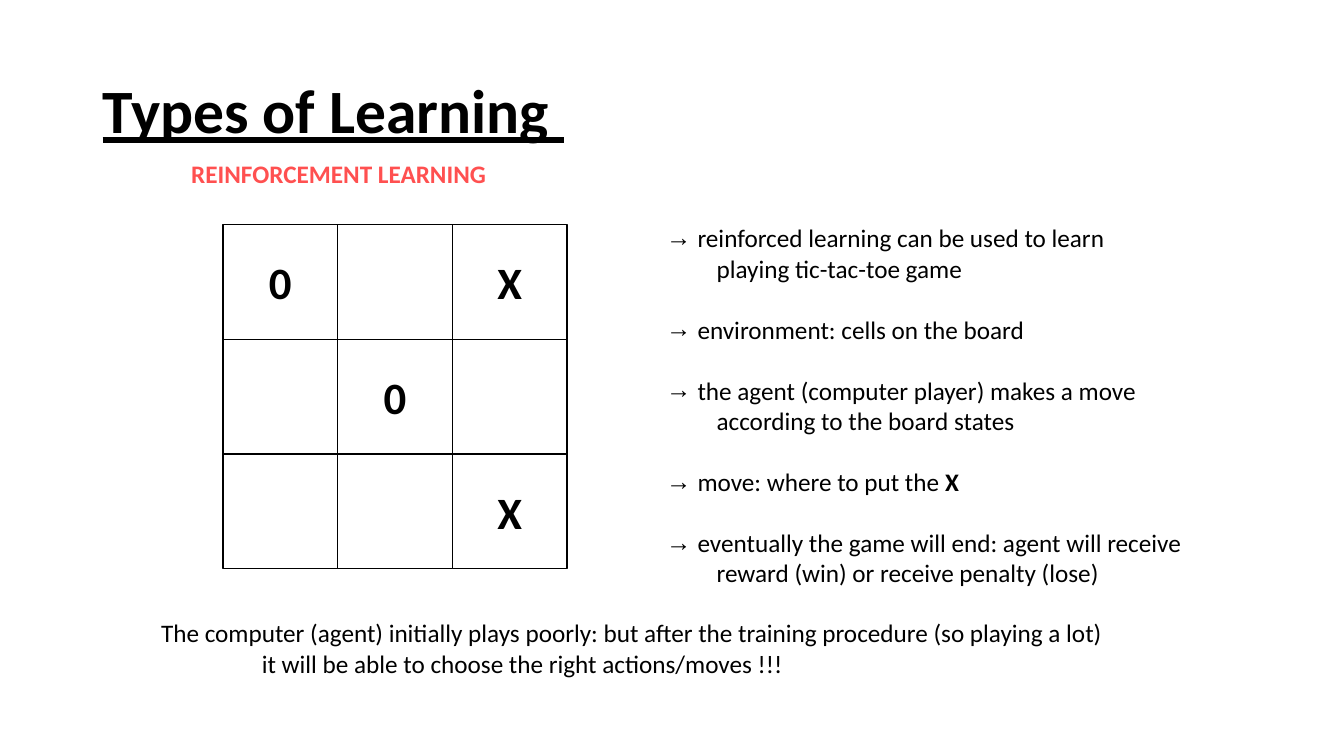
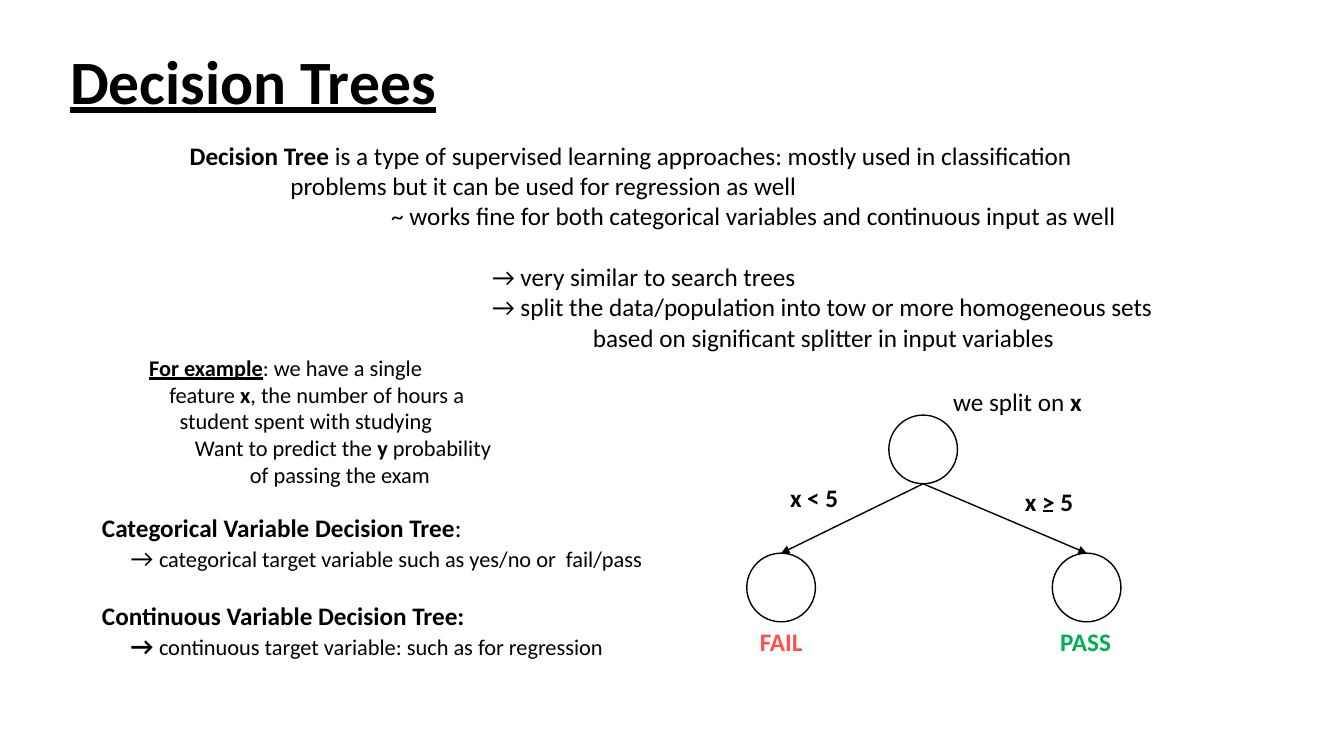
import dataclasses

import pptx
import pptx.dml.color
import pptx.enum.shapes
import pptx.enum.text
import pptx.oxml
import pptx.oxml.ns
import pptx.util

Cm = pptx.util.Cm
Pt = pptx.util.Pt
RGBColor = pptx.dml.color.RGBColor
ShapeType = pptx.enum.shapes.MSO_SHAPE
Anchor = pptx.enum.text.MSO_ANCHOR
Align = pptx.enum.text.PP_ALIGN


@dataclasses.dataclass(frozen=True)
class Theme:
    font: str = "Calibri"
    ink: RGBColor = RGBColor(0x00, 0x00, 0x00)
    paper: RGBColor = RGBColor(0xFF, 0xFF, 0xFF)
    red: RGBColor = RGBColor(0xFF, 0x50, 0x50)
    green: RGBColor = RGBColor(0x00, 0xB0, 0x50)
    title: Pt = Pt(44)
    mark: Pt = Pt(32)
    body: Pt = Pt(18)
    small: Pt = Pt(16)
    outline: Pt = Pt(1)


theme = Theme()
BOLD = {"bold": True}
SMALL = {"size": theme.small}
TITLE = {"size": theme.title, "bold": True, "underline": True}
GAP = {"space_before": Pt(22)}
SMALL_GAP = {"space_before": Pt(19.5)}
TAB = 2.54
STEP = 0.72


def fill_text(frame, lines, color=theme.ink, **base):
    for number, (layout, indent, runs) in enumerate(lines):
        paragraph = frame.paragraphs[0] if number == 0 else frame.add_paragraph()
        for name, value in layout.items():
            setattr(paragraph, name, value)
        properties = paragraph._p.get_or_add_pPr()
        properties.set("marL", str(Cm(indent)))
        properties.set("indent", "0")
        for text, changes in runs:
            run = paragraph.add_run()
            run.text = text
            run.font.color.rgb = color
            font_format = {"name": theme.font, "size": theme.body, **base, **changes}
            for name, value in font_format.items():
                setattr(run.font, name, value)


def add_outlined(slide, shape_type, left, top, size):
    shape = slide.shapes.add_shape(shape_type, Cm(left), Cm(top), Cm(size), Cm(size))
    shape.shadow.inherit = False
    shape.fill.solid()
    shape.fill.fore_color.rgb = theme.paper
    shape.line.color.rgb = theme.ink
    shape.line.width = theme.outline
    return shape


presentation = pptx.Presentation()
presentation.slide_width = Cm(33.87)
presentation.slide_height = Cm(19.05)

slides = []
for title, left, top in [("Types of Learning ", 2.34, 1.02), ("Decision Trees", 1.52, 0.28)]:
    slide = presentation.slides.add_slide(presentation.slide_layouts[6])
    box = slide.shapes.add_textbox(Cm(left), Cm(top), Cm(29.2), Cm(3.68))
    box.text_frame.word_wrap = True
    box.text_frame.vertical_anchor = Anchor.MIDDLE
    fill_text(box.text_frame, [({"line_spacing": 0.9}, 0, [(title, TITLE)])])
    slides.append(slide)
learning_slide, tree_slide = slides

BOARD_LEFT, BOARD_TOP, CELL = 5.62, 5.66, 2.89
for row, marks in enumerate(["0 X", " 0 ", "  X"]):
    for column, mark in enumerate(marks):
        cell = add_outlined(learning_slide, ShapeType.RECTANGLE,
                            BOARD_LEFT + column * CELL, BOARD_TOP + row * CELL, CELL)
        cell.text_frame.vertical_anchor = Anchor.MIDDLE
        if mark != " ":
            fill_text(cell.text_frame,
                      [({"alignment": Align.CENTER}, 0, [(mark, BOLD)])], size=theme.mark)

facts = [
    [[("reinforced learning can be used to learn", {})], "playing tic-tac-toe game"],
    [[("environment: cells on the board", {})], None],
    [[("the agent (computer player) makes a move", {})], "according to the board states"],
    [[("move: where to put the ", {}), ("X", BOLD)], None],
    [[("eventually the game will end: agent will receive", {})],
     "reward (win) or receive penalty (lose)"],
]
fact_lines = []
for number, (runs, continuation) in enumerate(facts):
    fact_lines.append((GAP if number else {}, 0.79, runs))
    if continuation:
        fact_lines.append(({}, 1.27, [(continuation, {})]))
facts_box = learning_slide.shapes.add_textbox(Cm(16.54), Cm(5.49), Cm(14.2), Cm(9.5))
facts_box.text_frame.word_wrap = True
fill_text(facts_box.text_frame, fact_lines)
for paragraph, (layout, indent, runs) in zip(facts_box.text_frame.paragraphs, fact_lines):
    if indent == 0.79:
        properties = paragraph._p.get_or_add_pPr()
        properties.set("indent", str(-Cm(indent)))
        for tag, name, value in [("a:buFont", "typeface", "Arial"), ("a:buChar", "char", "→")]:
            bullet = pptx.oxml.parse_xml(f"<{tag} {pptx.oxml.ns.nsdecls('a')}/>")
            bullet.set(name, value)
            properties.append(bullet)

NODE = 1.73
ROOT_LEFT, ROOT_TOP, LEAF_TOP = 22.4, 10.46, 13.94
for leaf_left in [18.82, 26.52]:
    leaf = add_outlined(tree_slide, ShapeType.OVAL, leaf_left, LEAF_TOP, NODE)
    branch = tree_slide.shapes.add_connector(
        pptx.enum.shapes.MSO_CONNECTOR.STRAIGHT,
        Cm(ROOT_LEFT + NODE / 2), Cm(ROOT_TOP + NODE),
        Cm(leaf_left + NODE / 2), Cm(LEAF_TOP))
    branch.end_connect(leaf, 0)
    branch.line.color.rgb = theme.ink
    branch.line.width = theme.outline
    branch.line._get_or_add_ln().append(
        pptx.oxml.parse_xml(f'<a:tailEnd {pptx.oxml.ns.nsdecls("a")} type="triangle"/>'))
    branch._element.spPr.append(
        pptx.oxml.parse_xml(f"<a:effectLst {pptx.oxml.ns.nsdecls('a')}/>"))
add_outlined(tree_slide, ShapeType.OVAL, ROOT_LEFT, ROOT_TOP, NODE)

equal_bar = tree_slide.shapes.add_connector(
    pptx.enum.shapes.MSO_CONNECTOR.STRAIGHT, Cm(26.29), Cm(12.88), Cm(26.54), Cm(12.88))
equal_bar.line.color.rgb = theme.ink
equal_bar.line.width = Pt(1.5)
equal_bar._element.spPr.append(
    pptx.oxml.parse_xml(f"<a:effectLst {pptx.oxml.ns.nsdecls('a')}/>"))

summary = [
    ({}, 0, [("The computer (agent) initially plays poorly: but after the training "
              "procedure (so playing a lot)", {})]),
    ({}, TAB, [("it will be able to choose the right actions/moves !!!", {})]),
]
definition = [
    ({}, 0, [("Decision Tree ", BOLD),
             ("is a type of supervised learning approaches: mostly used in classification", {})]),
    ({}, TAB, [("problems but it can be used for regression as well", {})]),
    ({}, 2 * TAB,
     [("~ works fine for both categorical variables and continuous input as well", {})]),
    (GAP, 3 * TAB, [("→ very similar to search trees", {})]),
    ({}, 3 * TAB, [("→ split the data/population into tow or more homogeneous sets", {})]),
    ({}, 4 * TAB, [("based on significant splitter in input variables", {})]),
]
example = [
    ({}, 0, [("For example", {"bold": True, "underline": True}), (": we have a single", {})]),
    ({}, 0.51, [("feature ", {}), ("x", BOLD), (", the number of hours a", {})]),
    ({}, 0.77, [("student spent with studying", {})]),
    ({}, 1.15, [("Want to predict the ", {}), ("y", BOLD), (" probability", {})]),
    ({}, TAB, [("of passing the exam", {})]),
]
tree_kinds = [
    ({}, 0, [("Categorical Variable Decision Tree", BOLD), (":", {})]),
    ({}, STEP, [("→ ", {}),
                ("categorical target variable such as yes/no or  fail/pass", SMALL)]),
    (SMALL_GAP, 0, [("Continuous Variable Decision Tree:", BOLD)]),
    ({}, STEP, [("→ ", BOLD), ("continuous target variable: such as for regression", SMALL)]),
]
split_note = [({}, 0, [("we split on ", {}), ("x", BOLD)])]

text_boxes = [
    (learning_slide, 3.81, 15.44, 25, 1.8, summary, {}),
    (tree_slide, 4.53, 3.4, 25.5, 5.64, definition, {}),
    (tree_slide, 3.51, 8.79, 9.6, 3.76, example, SMALL),
    (tree_slide, 2.32, 12.78, 14.8, 4.01, tree_kinds, {}),
    (tree_slide, 23.77, 9.6, 4.2, 1.02, split_note, {}),
]
labels = [
    (learning_slide, 4.57, 3.86, 8.4, "REINFORCEMENT LEARNING", theme.red),
    (tree_slide, 19.66, 12.04, 2.2, "x < 5", theme.ink),
    (tree_slide, 25.58, 12.14, 2.2, "x > 5", theme.ink),
    (tree_slide, 18.9, 15.67, 2.2, "FAIL", theme.red),
    (tree_slide, 26.47, 15.67, 2.2, "PASS", theme.green),
]
for slide, left, top, width, text, color in labels:
    text_boxes.append((slide, left, top, width, 1.02, [({}, 0, [(text, BOLD)])],
                       {"color": color}))
for slide, left, top, width, height, lines, text_format in text_boxes:
    box = slide.shapes.add_textbox(Cm(left), Cm(top), Cm(width), Cm(height))
    box.text_frame.word_wrap = True
    fill_text(box.text_frame, lines, **text_format)

presentation.save("out.pptx")
